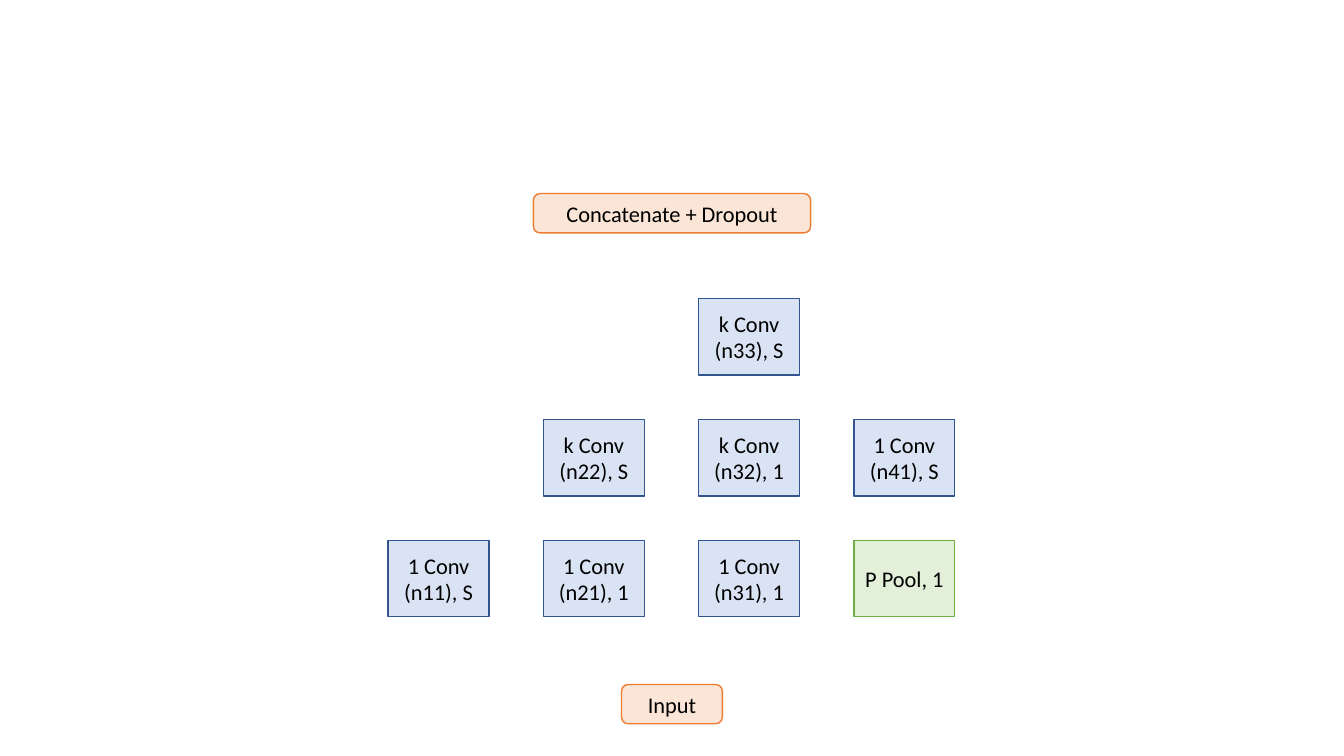
from dataclasses import dataclass

import pptx
import pptx.dml.color
import pptx.enum.shapes
import pptx.enum.text
import pptx.slide
import pptx.util

Inches = pptx.util.Inches
RGBColor = pptx.dml.color.RGBColor
ShapeType = pptx.enum.shapes.MSO_SHAPE

COLORS = {
    "text": "000000",
    "terminal_fill": "FBE5D6",
    "terminal_line": "ED7D31",
    "conv_fill": "DAE3F3",
    "conv_line": "325491",
    "pool_fill": "E2F0D9",
    "pool_line": "70AD47",
}
SLIDE_WIDTH = 13.33
LAYER_WIDTH, LAYER_HEIGHT = 1.0, 0.76
FIRST_LEFT, BRANCH_STEP = 3.85, 1.54
BOTTOM_TOP, LEVEL_STEP = 5.36, 1.2
TERMINAL_HEIGHT = 0.39


@dataclass
class Box:
    text: str
    left: float
    top: float
    width: float
    height: float
    style: str


@dataclass
class Terminal:
    text: str
    top: float
    width: float


@dataclass
class Layer:
    text: str
    style: str = "conv"


BRANCHES: list[list[Layer]] = [
    [Layer("1 Conv\n(n11), S")],
    [Layer("1 Conv\n(n21), 1"), Layer("k Conv\n(n22), S")],
    [Layer("1 Conv\n(n31), 1"), Layer("k Conv\n(n32), 1"), Layer("k Conv\n(n33), S")],
    [Layer("P Pool, 1", "pool"), Layer("1 Conv\n(n41), S")],
]
TERMINALS = [Terminal("Input", 6.79, 1.0), Terminal("Concatenate + Dropout", 1.92, 2.75)]


def draw_box(slide: pptx.slide.Slide, box: Box) -> None:
    kind = ShapeType.ROUNDED_RECTANGLE if box.style == "terminal" else ShapeType.RECTANGLE
    shape = slide.shapes.add_shape(
        kind, Inches(box.left), Inches(box.top), Inches(box.width), Inches(box.height)
    )
    shape.shadow.inherit = False
    shape.fill.solid()
    shape.fill.fore_color.rgb = RGBColor.from_string(COLORS[f"{box.style}_fill"])
    shape.line.color.rgb = RGBColor.from_string(COLORS[f"{box.style}_line"])
    shape.line.width = pptx.util.Pt(1)
    text_frame = shape.text_frame
    text_frame.word_wrap = True
    text_frame.margin_left = text_frame.margin_right = Inches(0.05)
    text_frame.vertical_anchor = pptx.enum.text.MSO_ANCHOR.MIDDLE
    text_frame.text = box.text
    for paragraph in text_frame.paragraphs:
        paragraph.alignment = pptx.enum.text.PP_ALIGN.CENTER
        for run in paragraph.runs:
            run.font.name = "Calibri"
            run.font.size = pptx.util.Pt(16)
            run.font.color.rgb = RGBColor.from_string(COLORS["text"])


def draw_terminal(slide: pptx.slide.Slide, terminal: Terminal) -> None:
    left = (SLIDE_WIDTH - terminal.width) / 2
    draw_box(
        slide,
        Box(terminal.text, left, terminal.top, terminal.width, TERMINAL_HEIGHT, "terminal"),
    )


def draw_branch(slide: pptx.slide.Slide, column: int, layers: list[Layer]) -> None:
    left = FIRST_LEFT + column * BRANCH_STEP
    for level, layer in enumerate(layers):
        top = BOTTOM_TOP - level * LEVEL_STEP
        draw_box(slide, Box(layer.text, left, top, LAYER_WIDTH, LAYER_HEIGHT, layer.style))


presentation = pptx.Presentation()
presentation.slide_width = Inches(SLIDE_WIDTH)
presentation.slide_height = Inches(7.5)
slide = presentation.slides.add_slide(presentation.slide_layouts.get_by_name("Blank"))
for terminal in TERMINALS:
    draw_terminal(slide, terminal)
for column, layers in enumerate(BRANCHES):
    draw_branch(slide, column, layers)
presentation.save("out.pptx")
